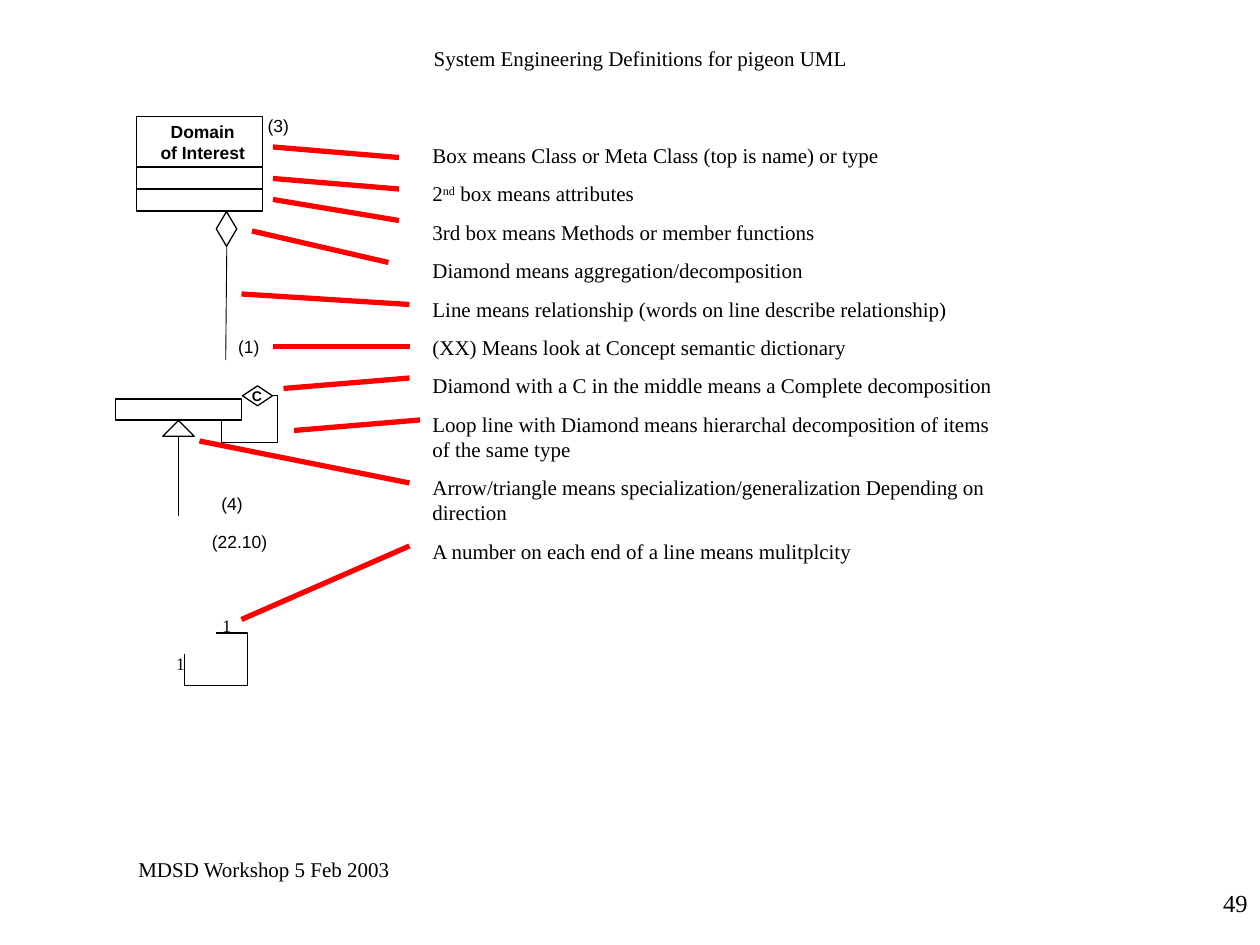
"""Build a slide that explains the symbols of a small UML notation."""
from dataclasses import dataclass

from lxml.etree import SubElement
from pptx import Presentation
from pptx.dml.color import RGBColor
from pptx.enum.shapes import MSO_CONNECTOR as Connector, MSO_SHAPE as Preset
from pptx.enum.text import MSO_ANCHOR as Anchor, PP_ALIGN as Align
from pptx.oxml.ns import qn
from pptx.util import Inches, Pt


@dataclass(frozen=True)
class Theme:
    ink: RGBColor = RGBColor(0, 0, 0)
    paper: RGBColor = RGBColor(255, 255, 255)
    pointer: RGBColor = RGBColor(255, 0, 0)
    serif: str = "Times New Roman"
    sans: str = "Arial"
    mark_size: float = 8
    label_size: float = 10
    body_size: float = 12
    number_size: float = 14
    gap: float = 7.5
    thin: float = 0.5
    outline: float = 0.75
    thick: float = 3


theme = Theme()
presentation = Presentation()
presentation.slide_width, presentation.slide_height = Inches(10), Inches(7.5)
slide = presentation.slides.add_slide(presentation.slide_layouts[6])
cell = presentation.slide_width / 120


def grid(*values):
    return [round(value * cell) for value in values]


def add_text(area, paragraphs, font, size, bold=False, align=Align.LEFT,
             inset=True, wrap=False, anchor=Anchor.TOP):
    shape = slide.shapes.add_textbox(*grid(*area))
    frame = shape.text_frame
    frame.word_wrap, frame.vertical_anchor = wrap, anchor
    frame.margin_left = frame.margin_right = Inches(0.1 if inset else 0)
    frame.margin_top = frame.margin_bottom = Inches(0.05 if inset else 0)
    for index, runs in enumerate(paragraphs):
        paragraph = frame.add_paragraph() if index else frame.paragraphs[0]
        paragraph.alignment = align
        if index and wrap:
            paragraph.space_before = Pt(theme.gap)
        for text in runs:
            run = paragraph.add_run()
            run.text = text
            run.font.name, run.font.size, run.font.bold = font, Pt(size), bold
            run.font.color.rgb = theme.ink
            if text == "nd":
                run.font._element.set("baseline", "30000")


pointers = [
    (26, 14, 38, 15), (26, 17, 38, 18), (26, 19, 38, 21), (24, 22, 37, 25),
    (23, 28, 39, 29), (26, 33, 39, 33), (27, 37, 39, 36), (28, 41, 40, 40),
    (19, 42, 39, 46), (23, 59, 39, 52),
]
stems = [(21.5, 34.3, 21.6, 23.3), (17, 41.6, 17, 49.1)]
lines = [(ends, theme.ink, theme.thin) for ends in stems]
lines += [(ends, theme.pointer, theme.thick) for ends in pointers]
for ends, color, width in lines:
    connector = slide.shapes.add_connector(Connector.STRAIGHT, *grid(*ends))
    connector.line.color.rgb, connector.line.width = color, Pt(width)
    SubElement(connector._element.spPr, qn("a:effectLst"))

symbols = [
    (Preset.RECTANGLE, (13, 18, 12, 2.1)),
    (Preset.RECTANGLE, (13, 15.9, 12, 2.1)),
    (Preset.RECTANGLE, (13, 11.1, 12, 4.8)),
    (Preset.DIAMOND, (20.6, 20.15, 1.95, 3.3)),
    (Preset.RECTANGLE, (11, 38, 12, 2)),
    (Preset.ISOSCELES_TRIANGLE, (15.5, 40.05, 3, 1.5)),
    (Preset.DIAMOND, (23.1, 36.75, 2.85, 1.9)),
]
for preset, area in symbols:
    shape = slide.shapes.add_shape(preset, *grid(*area))
    shape.shadow.inherit = False
    shape.fill.solid()
    shape.fill.fore_color.rgb = theme.paper
    shape.line.color.rgb, shape.line.width = theme.ink, Pt(theme.outline)

loops = [
    ([(25.95, 37.7), (26.4, 37.7), (26.4, 42.1), (21.1, 42.1), (21.1, 39.9)], theme.thin),
    ([(17.6, 62.3), (17.6, 65.3), (23.6, 65.3), (23.6, 60.3), (20.6, 60.3)], theme.outline),
]
for points, width in loops:
    start, *corners = [grid(*point) for point in points]
    builder = slide.shapes.build_freeform(*start)
    builder.add_line_segments(corners, close=False)
    shape = builder.convert_to_shape()
    shape.shadow.inherit = False
    shape.fill.background()
    shape.line.color.rgb, shape.line.width = theme.ink, Pt(width)

add_text((14.3, 11.5, 10, 4), [["Domain"], ["of Interest"]], theme.sans,
         theme.label_size, bold=True, align=Align.CENTER, inset=False)
add_text((24, 36.9, 1.2, 1.5), [["C"]], theme.sans, theme.mark_size,
         bold=True, inset=False)

labels = [
    ("(3)", 24.3, 10.4, 4.6, theme.sans),
    ("(1)", 21.5, 31.4, 4.6, theme.sans),
    ("(4)", 19.9, 46.4, 4.6, theme.sans),
    ("(22.10)", 19, 50, 9.7, theme.sans),
    ("1", 20, 58, 3.5, theme.serif),
    ("1", 15.6, 61.6, 3.5, theme.serif),
]
for text, column, row, width, font in labels:
    add_text((column, row, width, 3.2), [[text]], font, theme.label_size)

definitions = [
    ["Box means Class or Meta Class (top is name) or type"],
    ["2", "nd", " box means attributes"],
    ["3rd box means Methods or member functions"],
    ["Diamond means aggregation/decomposition"],
    ["Line means relationship (words on line describe relationship)"],
    ["(XX) Means look at Concept semantic dictionary"],
    ["Diamond with a C in the middle means a Complete decomposition"],
    ["Loop line with Diamond means hierarchal decomposition of items of the same type"],
    ["Arrow/triangle means specialization/generalization Depending on direction"],
    ["A number on each end of a line means mulitplcity"],
]
add_text((40, 13, 56, 41.3), definitions, theme.serif, theme.body_size, wrap=True)
add_text((10, 3, 102, 5), [["System Engineering Definitions for pigeon UML"]],
         theme.serif, theme.body_size, align=Align.CENTER, wrap=True, anchor=Anchor.MIDDLE)
add_text((12, 81, 29, 3.6), [["MDSD Workshop 5 Feb 2003"]], theme.serif,
         theme.body_size, wrap=True)
add_text((95, 84, 25, 6), [["49"]], theme.serif, theme.number_size,
         align=Align.RIGHT, wrap=True)

presentation.save("out.pptx")
